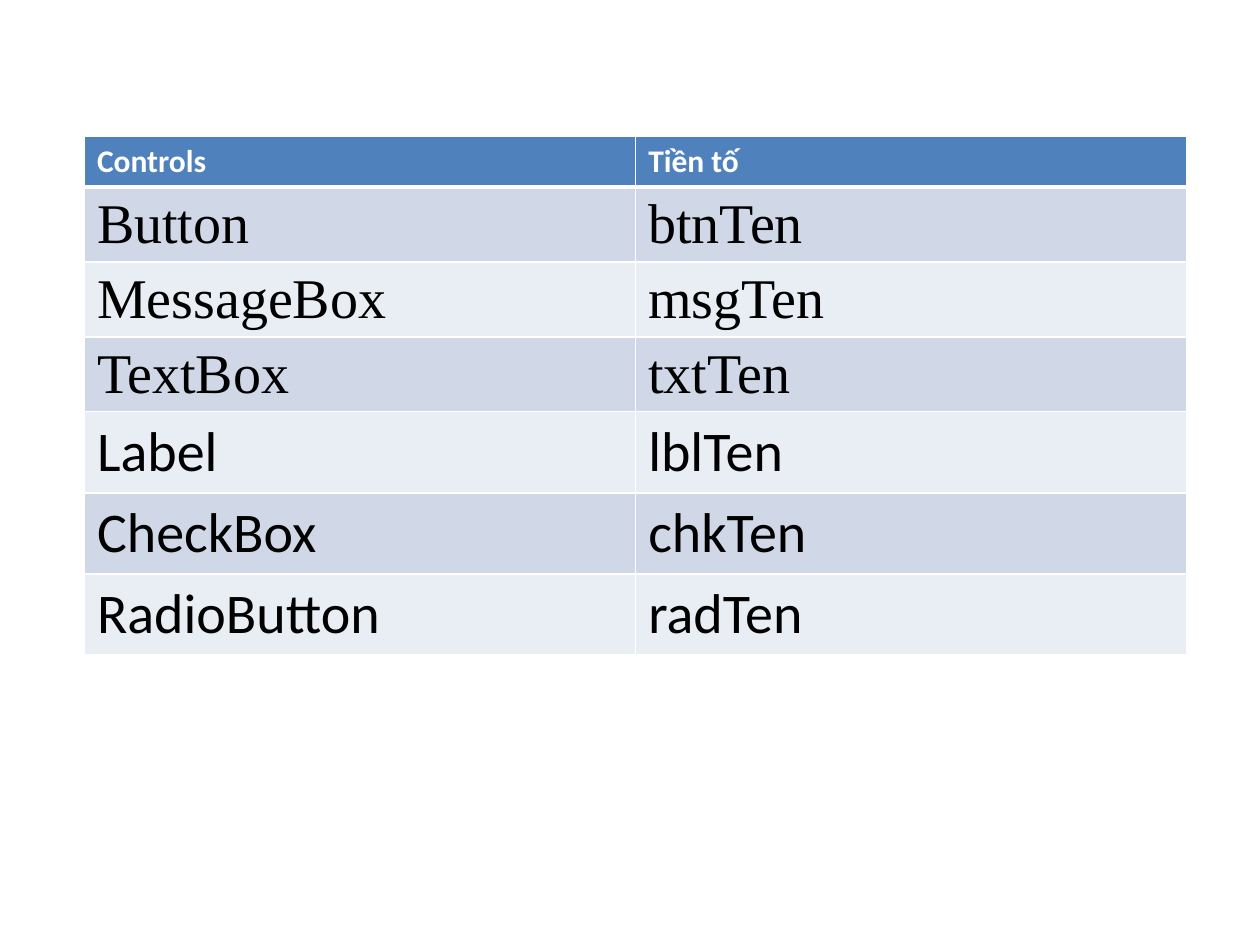
from lxml.etree import SubElement
from pptx import Presentation
from pptx.dml.color import RGBColor
from pptx.oxml.ns import qn
from pptx.util import Inches, Pt

WHITE = RGBColor(0xFF, 0xFF, 0xFF)
BLACK = RGBColor(0x00, 0x00, 0x00)
HEADER_BLUE = RGBColor(0x4F, 0x81, 0xBD)
BANDS = (RGBColor(0xD0, 0xD8, 0xE8), RGBColor(0xE9, 0xED, 0xF4))

SANS, SERIF = "Calibri", "Times New Roman"

# Control, prefix, font, row height in inches
CONTROLS = [
    ("Button", "btnTen", SERIF, 0.59),
    ("MessageBox", "msgTen", SERIF, 0.59),
    ("TextBox", "txtTen", SERIF, 0.59),
    ("Label", "lblTen", SANS, 0.64),
    ("CheckBox", "chkTen", SANS, 0.64),
    ("RadioButton", "radTen", SANS, 0.64),
]


def write(frame, text, font=SANS, size=32, color=BLACK, bold=False):
    run = frame.paragraphs[0].add_run()
    run.text = text
    run.font.name = font
    run.font.size = Pt(size)
    run.font.color.rgb = color
    run.font.bold = bold


class Deck:
    """Holds the style and the current slide."""

    def __init__(self, width, height):
        self.show = Presentation()
        self.show.slide_width = Inches(width)
        self.show.slide_height = Inches(height)
        self.slide = self.show.slides.add_slide(self.show.slide_layouts[6])

    def table(self, left, top, width, heights, columns):
        """Place a table; left, top and width are shares of the slide."""
        page_width, page_height = self.show.slide_width, self.show.slide_height
        frame = self.slide.shapes.add_table(
            len(heights), columns, int(left * page_width), int(top * page_height),
            int(width * page_width), Inches(sum(heights)))
        for row, height in zip(frame.table.rows, heights):
            row.height = Inches(height)
        return frame.table

    def cell(self, cell, text, fill, bottom=1, **style):
        self.borders(cell, bottom)
        cell.fill.solid()
        cell.fill.fore_color.rgb = fill
        write(cell.text_frame, text, **style)

    def borders(self, cell, bottom):
        properties = cell._tc.get_or_add_tcPr()
        for side, points in (("L", 1), ("R", 1), ("T", 1), ("B", bottom)):
            line = SubElement(properties, qn(f"a:ln{side}"), w=str(Pt(points)))
            paint = SubElement(line, qn("a:solidFill"))
            SubElement(paint, qn("a:srgbClr"), val=str(WHITE))


deck = Deck(10, 7.5)
heights = [0.4] + [height for *_, height in CONTROLS]
prefixes = deck.table(0.067, 0.144, 0.875, heights, columns=2)

# Header row
for column, heading in enumerate(("Controls", "Tiền tố")):
    deck.cell(prefixes.cell(0, column), heading, HEADER_BLUE, bottom=3,
              size=18, color=WHITE, bold=True)

# Controls with their name prefixes
for row, (control, prefix, font, _) in enumerate(CONTROLS, start=1):
    for column, text in enumerate((control, prefix)):
        deck.cell(prefixes.cell(row, column), text, BANDS[(row - 1) % 2], font=font)

# The line under the header is shared with the first row
for column in range(2):
    edge = prefixes.cell(1, column)._tc.tcPr.find(qn("a:lnT"))
    edge.set("w", str(Pt(3)))

deck.show.save("out.pptx")
